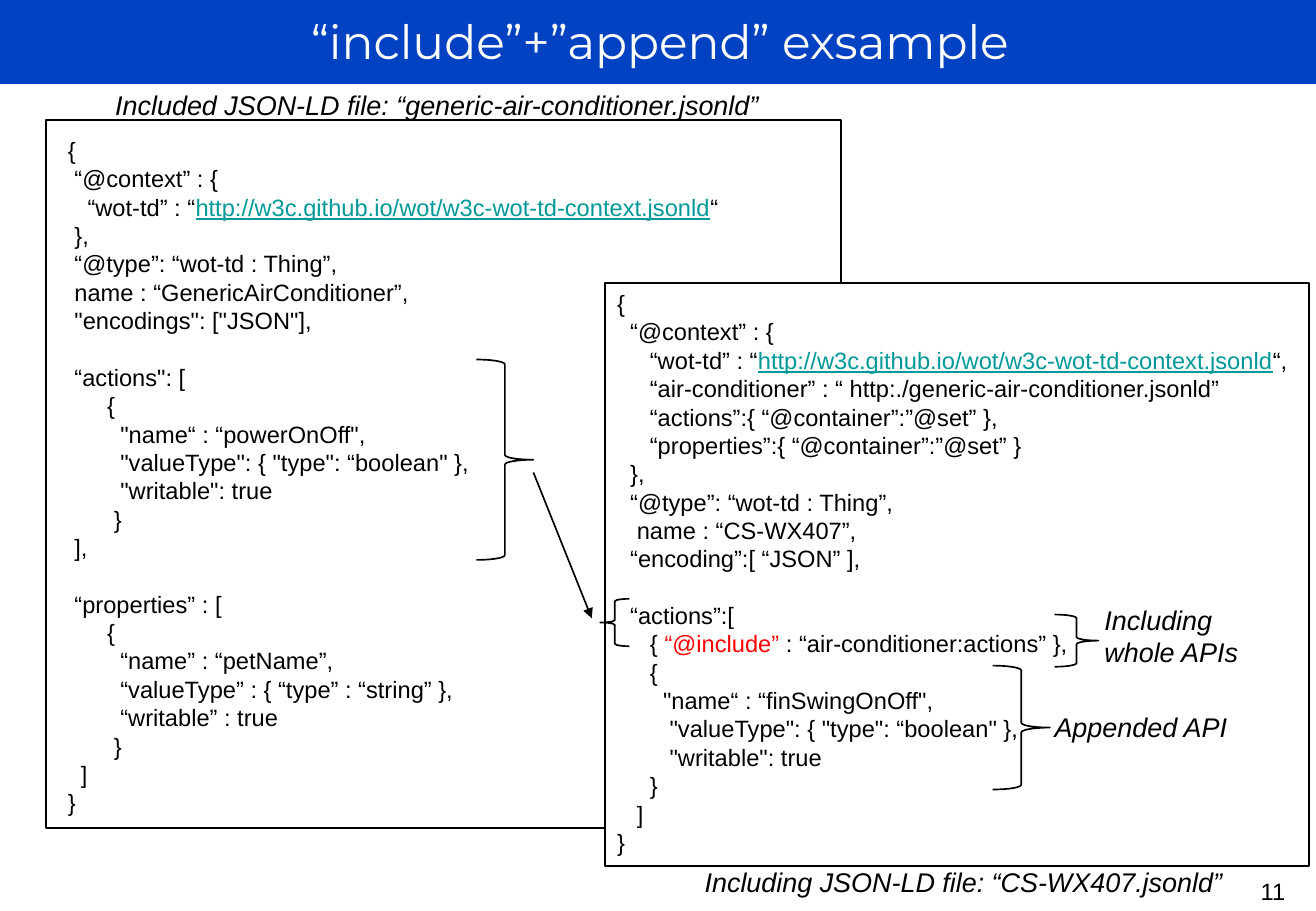
import pptx
import pptx.dml.color
import pptx.enum.shapes
import pptx.enum.text
import pptx.oxml
import pptx.oxml.ns
import pptx.util

Inches = pptx.util.Inches
Pt = pptx.util.Pt
SHAPE = pptx.enum.shapes.MSO_SHAPE
ALIGN = pptx.enum.text.PP_ALIGN
ANCHOR = pptx.enum.text.MSO_ANCHOR

BLACK, WHITE, BLUE, RED, LINK = "000000", "FFFFFF", "0142C2", "FF0000", "009999"
CONTEXT_URL = ("http://w3c.github.io/wot/w3c-wot-td-context.jsonld", LINK)


def rgb(color):
    return pptx.dml.color.RGBColor.from_string(color)


class SlideBuilder:
    font = "Arial"
    code_size = 14
    label_size = 16
    spacing = 1.2
    line_width = 1

    def __init__(self, prs):
        self.slide = prs.slides.add_slide(prs.slide_layouts[5])
        self.shapes = self.slide.shapes

    def run(self, p, text, size, color=BLACK, font=None, italic=False):
        r = p.add_run()
        r.text = text
        r.font.name = font or self.font
        r.font.size = Pt(size)
        r.font.italic = italic
        r.font.underline = color == LINK
        r.font.color.rgb = rgb(color)

    def title(self, text, x, y, w, h):
        sp = self.shapes.title
        sp.left, sp.top, sp.width, sp.height = map(Inches, (x, y, w, h))
        tf = sp.text_frame
        tf.word_wrap = True
        tf.vertical_anchor = ANCHOR.MIDDLE
        p = tf.paragraphs[0]
        p.alignment = ALIGN.CENTER
        self.run(p, text, 28, WHITE, "Montserrat")

    def shape(self, kind, x, y, w, h, fill=None, line=BLACK):
        sp = self.shapes.add_shape(kind, *map(Inches, (x, y, w, h)))
        sp.shadow.inherit = False
        if fill:
            sp.fill.solid()
            sp.fill.fore_color.rgb = rgb(fill)
        else:
            sp.fill.background()
        if line:
            sp.line.color.rgb = rgb(line)
            sp.line.width = Pt(self.line_width)
        else:
            sp.line.fill.background()
        return sp

    def band(self, x, y, w, h):
        sp = self.shape(SHAPE.RECTANGLE, x, y, w, h, BLUE, None)
        self.shapes._spTree.insert(2, sp._element)

    def brace(self, x, y, w, h, flip=False):
        sp = self.shape(SHAPE.RIGHT_BRACE, x, y, w, h)
        if flip:
            sp._element.spPr.xfrm.set("flipH", "1")

    def arrow(self, x1, y1, x2, y2):
        cn = self.shapes.add_connector(
            pptx.enum.shapes.MSO_CONNECTOR.STRAIGHT, *map(Inches, (x1, y1, x2, y2)))
        cn.line.color.rgb = rgb(BLACK)
        cn.line.width = Pt(self.line_width)
        ns = pptx.oxml.ns.nsdecls("a")
        cn.line._get_or_add_ln().append(
            pptx.oxml.parse_xml(f'<a:tailEnd {ns} type="triangle"/>'))
        cn._element.spPr.append(pptx.oxml.parse_xml(f"<a:effectLst {ns}/>"))

    def text(self, lines, x, y, w, h, size, italic=False, wrap=True, align=ALIGN.LEFT):
        tf = self.shapes.add_textbox(*map(Inches, (x, y, w, h))).text_frame
        tf.word_wrap = wrap
        pitch = Pt(size * self.spacing)
        p, gap = None, False
        for line in lines:
            if not line:
                gap = True
                continue
            p = tf.add_paragraph() if p else tf.paragraphs[0]
            p.alignment = align
            p.line_spacing = pitch
            if gap:
                p.space_before = pitch
            gap = False
            for part in [line] if isinstance(line, str) else line:
                text, color = (part, BLACK) if isinstance(part, str) else part
                self.run(p, text, size, color, italic=italic)

    def code(self, lines, x, y, w, h):
        self.text(lines, x, y, w, h, self.code_size)

    def label(self, lines, x, y, w, h):
        self.text(lines, x, y, w, h, self.label_size, italic=True, wrap=False)


INCLUDED = [
    "{",
    " “@context” : {",
    ["   “wot-td” : “", CONTEXT_URL, "“"],
    " },",
    " “@type”: “wot-td : Thing”,",
    " name : “GenericAirConditioner”,",
    ' "encodings": ["JSON"],',
    "",
    ' “actions": [',
    "      {",
    '        "name“ : “powerOnOff",',
    '        "valueType": { "type": “boolean" },',
    '        "writable": true',
    "       }",
    " ],",
    "",
    " “properties” : [",
    "      {",
    "        “name” : “petName”,",
    "        “valueType” : { “type” : “string” },",
    "        “writable” : true",
    "       }",
    "  ]",
    "}",
]

INCLUDING = [
    "{",
    "  “@context” : {",
    ["     “wot-td” : “", CONTEXT_URL, "“,"],
    "     “air-conditioner” : “ http:./generic-air-conditioner.jsonld”",
    "     “actions”:{ “@container”:”@set” },",
    "     “properties”:{ “@container”:”@set” }",
    "  },",
    "  “@type”: “wot-td : Thing”,",
    "   name : “CS-WX407”,",
    "  “encoding”:[ “JSON” ],",
    "",
    "  “actions”:[",
    ["     { ", ("“@include”", RED), " : “air-conditioner:actions” },"],
    "     {",
    '       "name“ : “finSwingOnOff",',
    '        "valueType": { "type": “boolean" },',
    '        "writable": true',
    "     }",
    "   ]",
    "}",
]


def main():
    prs = pptx.Presentation()
    prs.slide_width, prs.slide_height = Inches(10.83), Inches(7.5)
    s = SlideBuilder(prs)

    s.band(0, -0.03, 10.83, 0.72)
    s.title("“include”+”append” exsample", 0.02, 0.05, 10.82, 0.57)
    s.text(["11"], 10.02, 7.17, 0.91, 0.32, 14, align=ALIGN.CENTER)

    s.shape(SHAPE.RECTANGLE, 0.38, 0.99, 6.54, 5.83, WHITE)
    s.shape(SHAPE.RECTANGLE, 4.98, 2.33, 5.79, 4.8, WHITE)
    s.label(["Included JSON-LD file: “generic-air-conditioner.jsonld”"], 0.85, 0.68, 5.56, 0.37)
    s.label(["Including JSON-LD file: “CS-WX407.jsonld”"], 5.7, 7.08, 4.52, 0.37)
    s.code(INCLUDED, 0.46, 1.07, 5.59, 5.76)
    s.code(INCLUDING, 4.98, 2.33, 5.79, 4.81)

    s.brace(3.92, 2.96, 0.47, 1.65)
    s.brace(4.94, 4.93, 0.24, 0.39, flip=True)
    s.arrow(4.39, 3.89, 4.87, 5.09)
    s.brace(8.17, 5.48, 0.47, 1.02)
    s.label(["Appended API"], 8.58, 5.8, 1.64, 0.37)
    s.brace(8.68, 5.06, 0.36, 0.43)
    s.label(["Including", "whole APIs"], 8.99, 4.92, 1.31, 0.64)

    prs.save("out.pptx")


if __name__ == "__main__":
    main()
